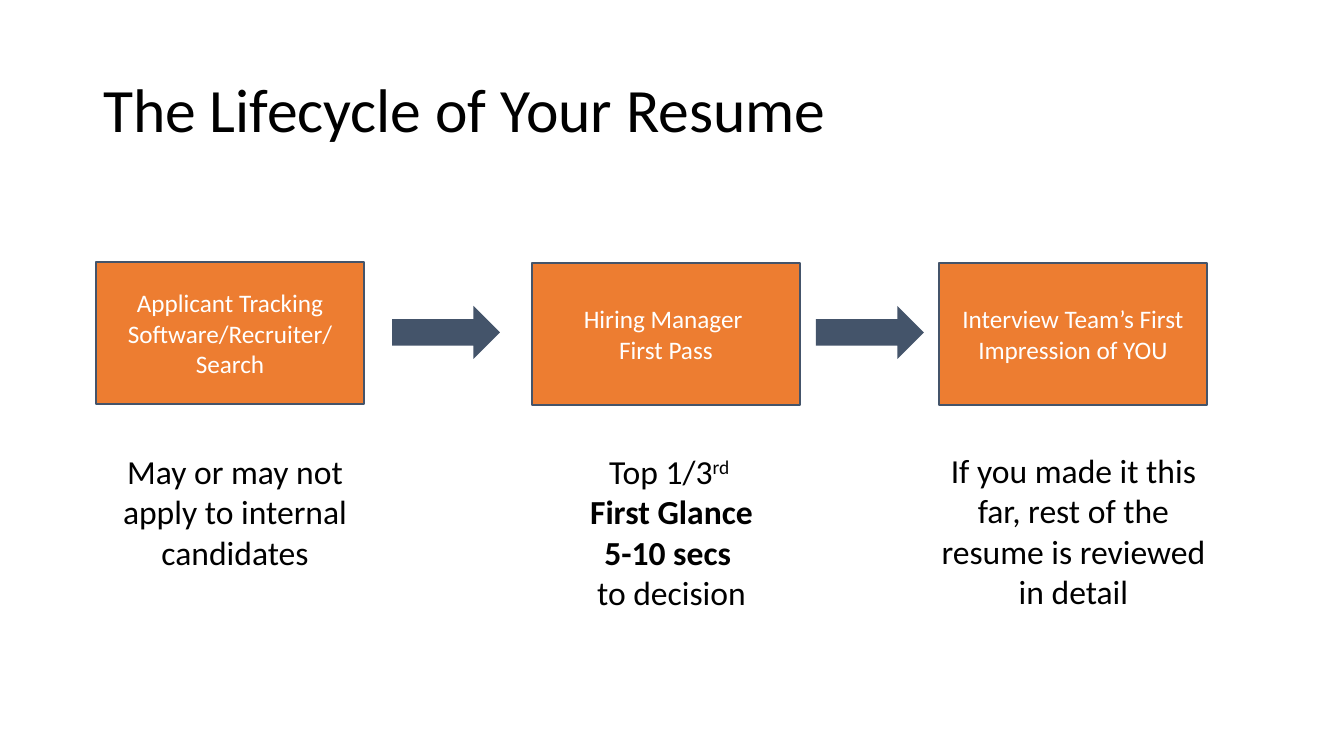
import pptx
import pptx.util
import pptx.dml.color
import pptx.enum.shapes
import pptx.enum.text

ORANGE = pptx.dml.color.RGBColor(0xED, 0x7D, 0x31)
SLATE = pptx.dml.color.RGBColor(0x44, 0x54, 0x6A)
WHITE = pptx.dml.color.RGBColor(0xFF, 0xFF, 0xFF)
BLACK = pptx.dml.color.RGBColor(0x00, 0x00, 0x00)

EMU_PER_PX = 914400 / 100.8
SHAPES = pptx.enum.shapes.MSO_SHAPE
ALIGN = pptx.enum.text.PP_ALIGN
ANCHOR = pptx.enum.text.MSO_ANCHOR
AUTO_SIZE = pptx.enum.text.MSO_AUTO_SIZE


def px(length):
    return pptx.util.Emu(round(length * EMU_PER_PX))


class LifecycleSlide:
    font_name = "Calibri"

    def __init__(self, deck):
        self.page = deck.slides.add_slide(deck.slide_layouts[5])

    def fill_text(self, frame, paragraphs, size, color, align, anchor):
        frame.word_wrap = True
        frame.vertical_anchor = anchor
        for index, spans in enumerate(paragraphs):
            para = frame.add_paragraph() if index else frame.paragraphs[0]
            para.alignment = align
            for text, style in spans:
                span = para.add_run()
                span.text = text
                span.font.name = self.font_name
                span.font.size = pptx.util.Pt(size)
                span.font.color.rgb = color
                span.font.bold = style == "bold"
                if style == "superscript":
                    span.font._element.set("baseline", "30000")

    def title(self, text, left, top, width, height):
        box = self.page.shapes.title
        box.left, box.top, box.width, box.height = map(px, (left, top, width, height))
        box.text_frame.auto_size = AUTO_SIZE.NONE
        self.fill_text(box.text_frame, [[(text, "plain")]], 44, BLACK, ALIGN.LEFT, ANCHOR.MIDDLE)
        box.text_frame.paragraphs[0].line_spacing = 0.9

    def shape(self, kind, fill, left, top, width, height):
        shape = self.page.shapes.add_shape(kind, px(left), px(top), px(width), px(height))
        shape.shadow.inherit = False
        shape.fill.solid()
        shape.fill.fore_color.rgb = fill
        return shape

    def stage(self, paragraphs, left, top):
        box = self.shape(SHAPES.RECTANGLE, ORANGE, left, top, 268, 142)
        box.line.color.rgb = SLATE
        box.line.width = pptx.util.Pt(1)
        self.fill_text(box.text_frame, paragraphs, 18, WHITE, ALIGN.CENTER, ANCHOR.MIDDLE)

    def note(self, paragraphs, left, top, width):
        box = self.page.shapes.add_textbox(px(left), px(top), px(width), px(173))
        self.fill_text(box.text_frame, paragraphs, 24, BLACK, ALIGN.CENTER, ANCHOR.TOP)
        box.text_frame.auto_size = AUTO_SIZE.SHAPE_TO_FIT_TEXT

    def arrow(self, left, top):
        self.shape(SHAPES.RIGHT_ARROW, SLATE, left, top, 108, 53).line.fill.background()


STAGES = [
    ([[("Applicant Tracking Software/Recruiter/ Search", "plain")]], 96, 262),
    ([[("Hiring Manager ", "plain")], [("First Pass", "plain")]], 532, 263),
    ([[("Interview Team’s First Impression of YOU", "plain")]], 939, 263),
]

NOTES = [
    ([[("May or may not apply to internal candidates", "plain")]], 112, 446, 246),
    (
        [
            [("Top 1/3", "plain"), ("rd ", "superscript")],
            [("First Glance", "bold")],
            [("5-10 secs ", "bold")],
            [("to decision", "plain")],
        ],
        533, 446, 277,
    ),
    (
        [[("If you made it this far, rest of the resume is reviewed in detail", "plain")]],
        924, 445, 299,
    ),
]


def main():
    deck = pptx.Presentation()
    deck.slide_width = px(1344)
    deck.slide_height = px(756)
    slide = LifecycleSlide(deck)
    slide.title("The Lifecycle of Your Resume", 93, 40, 1159, 146)
    for stage in STAGES:
        slide.stage(*stage)
    for note in NOTES:
        slide.note(*note)
    for left in (392, 816):
        slide.arrow(left, 306)
    deck.save("out.pptx")


if __name__ == "__main__":
    main()
